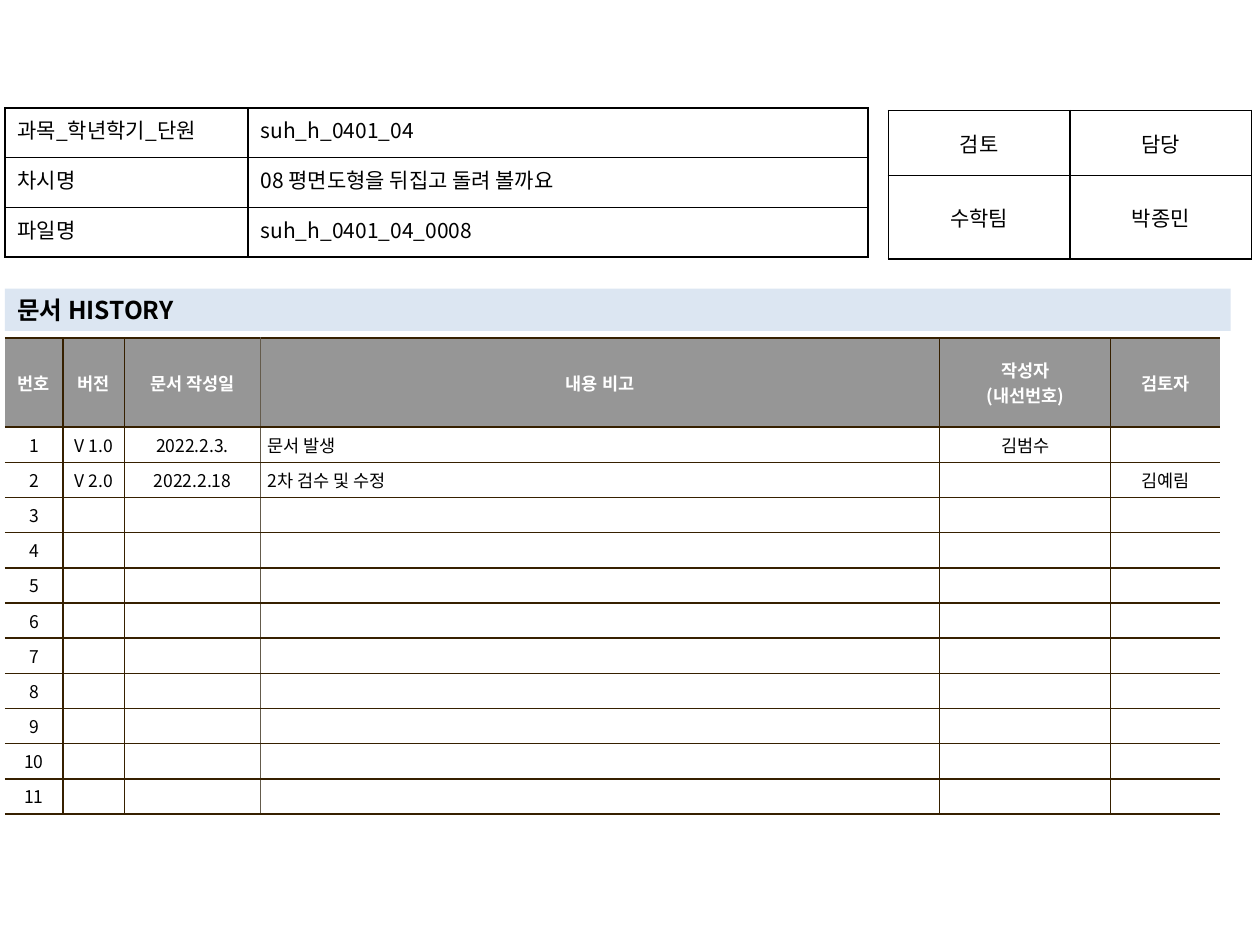
import pptx
import pptx.dml.color
import pptx.enum.shapes
import pptx.enum.text
import pptx.oxml.ns
import pptx.oxml.xmlchemy
import pptx.util
from lxml import etree

Cm, Pt = pptx.util.Cm, pptx.util.Pt
ALIGN = pptx.enum.text.PP_ALIGN
ANCHOR = pptx.enum.text.MSO_ANCHOR
qn = pptx.oxml.ns.qn

FONT = "Noto Sans CJK KR"
NO_STYLE = "{2D5ABB26-0587-4C30-8999-92F81FD0307C}"
COLORS = {
    "text": "000000",
    "white": "FFFFFF",
    "header": "969696",
    "bar": "DCE6F2",
    "grid": "000000",
    "history": "362000",
    "soft": "645B4C",
}

LESSON = [
    ("과목_학년학기_단원", "suh_h_0401_04"),
    ("차시명", "08 평면도형을 뒤집고 돌려 볼까요"),
    ("파일명", "suh_h_0401_04_0008"),
]
REVIEW = [("검토", "담당"), ("수학팀", "박종민")]
TITLE = "문서 HISTORY"
HEADER = ("번호", "버전", "문서 작성일", "내용 비고", "작성자\n(내선번호)", "검토자")
ENTRIES = [
    ("V 1.0", "2022.2.3.", "문서 발생", "김범수", ""),
    ("V 2.0", "2022.2.18", "2차 검수 및 수정", "", "김예림"),
]
ENTRY_COUNT = 11
DATE, NOTE = 2, 3  # history columns on either side of the softer line


def rgb(name):
    return pptx.dml.color.RGBColor.from_string(COLORS[name])


def write(frame, text, size, color="text", bold=False, align=ALIGN.LEFT):
    for index, line in enumerate(text.split("\n")):
        para = frame.paragraphs[0] if index == 0 else frame.add_paragraph()
        para.alignment = align
        if not line:  # keeps an empty cell as low as a filled one
            etree.SubElement(para._p, qn("a:endParaRPr"), sz=str(size * 100))
            continue
        span = para.add_run()
        span.text = line
        span.font.size, span.font.bold = Pt(size), bold
        span.font.name = FONT
        span.font.color.rgb = rgb(color)
        etree.SubElement(span.font._element, qn("a:ea"), typeface=FONT)


def set_borders(cell, colors):
    """Draw 1 pt borders; colors is left, right, top, bottom, None for no line."""
    props = cell._tc.get_or_add_tcPr()
    for index, (side, color) in enumerate(zip("LRTB", colors)):
        line = etree.Element(qn(f"a:ln{side}"), w=str(Pt(1)))
        if color:
            fill = etree.SubElement(line, qn("a:solidFill"))
            etree.SubElement(fill, qn("a:srgbClr"), val=COLORS[color])
        else:
            etree.SubElement(line, qn("a:noFill"))
        props.insert(index, line)


def add_plain_table(page, left, top, widths, heights):
    frame = page.shapes.add_table(len(heights), len(widths), Cm(left), Cm(top),
                                  Cm(sum(widths)), Cm(sum(heights)))
    table = frame.table
    table.first_row = table.horz_banding = False
    table._tbl.tblPr.find(qn("a:tableStyleId")).text = NO_STYLE
    for column, width in zip(table.columns, widths):
        column.width = Cm(width)
    for row, height in zip(table.rows, heights):
        row.height = Cm(height)
    return table


def add_history(page):
    widths = (1.17, 1.24, 2.74, 13.69, 3.45, 2.21)
    blank = ("",) * (len(HEADER) - 1)
    rows = [HEADER]
    for number in range(1, ENTRY_COUNT + 1):
        entry = ENTRIES[number - 1] if number <= len(ENTRIES) else blank
        rows.append((str(number), *entry))
    table = add_plain_table(page, 0.1, 6.81, widths, [1.8] + [0.63] * ENTRY_COUNT)
    last = len(HEADER) - 1
    for r, row in enumerate(rows):
        for c, text in enumerate(row):
            cell = table.cell(r, c)
            head = r == 0
            cell.vertical_anchor = ANCHOR.MIDDLE
            cell.margin_left = cell.margin_right = Cm(0.15)
            cell.margin_top = cell.margin_bottom = Cm(0.1)
            cell.fill.solid()
            cell.fill.fore_color.rgb = rgb("header" if head else "white")
            left = None if c == 0 else "soft" if c == NOTE else "history"
            right = None if c == last else "soft" if c == DATE else "history"
            set_borders(cell, (left, right, "history", "history"))
            note = c == NOTE and not head
            write(cell.text_frame, text, 10, "white" if head else "text", head,
                  ALIGN.LEFT if note else ALIGN.CENTER)
            if note and text:
                props = cell.text_frame.paragraphs[0]._p.get_or_add_pPr()
                props.set("marL", str(Cm(0.48)))
                props.set("indent", str(-Cm(0.48)))


def add_grid(page, rows, left, top, widths, heights, aligns, anchor):
    table = add_plain_table(page, left, top, widths, heights)
    for r, row in enumerate(rows):
        for c, text in enumerate(row):
            cell = table.cell(r, c)
            cell.vertical_anchor = anchor
            cell.fill.background()
            set_borders(cell, ("grid",) * 4)
            write(cell.text_frame, text, 12, align=aligns[c])


def add_title_bar(page):
    bar = page.shapes.add_shape(pptx.enum.shapes.MSO_SHAPE.RECTANGLE,
                                Cm(0.1), Cm(5.82), Cm(24.71), Cm(0.85))
    bar.shadow.inherit = False
    bar.fill.solid()
    bar.fill.fore_color.rgb = rgb("bar")
    bar.line.fill.background()
    bar.text_frame.word_wrap = True
    bar.text_frame.vertical_anchor = ANCHOR.MIDDLE
    write(bar.text_frame, TITLE, 14, bold=True)


def main():
    deck = pptx.Presentation()
    deck.slide_width, deck.slide_height = Cm(25.4), Cm(19.05)
    page = deck.slides.add_slide(deck.slide_layouts[6])
    add_history(page)
    add_grid(page, REVIEW, 17.91, 2.23, (3.66, 3.66), (1.31, 1.68),
             (ALIGN.CENTER, ALIGN.CENTER), ANCHOR.MIDDLE)
    add_title_bar(page)
    add_grid(page, LESSON, 0.1, 2.18, (4.9, 12.5), (1,) * 3,
             (ALIGN.JUSTIFY, ALIGN.LEFT), ANCHOR.TOP)
    deck.save("out.pptx")


if __name__ == "__main__":
    main()
